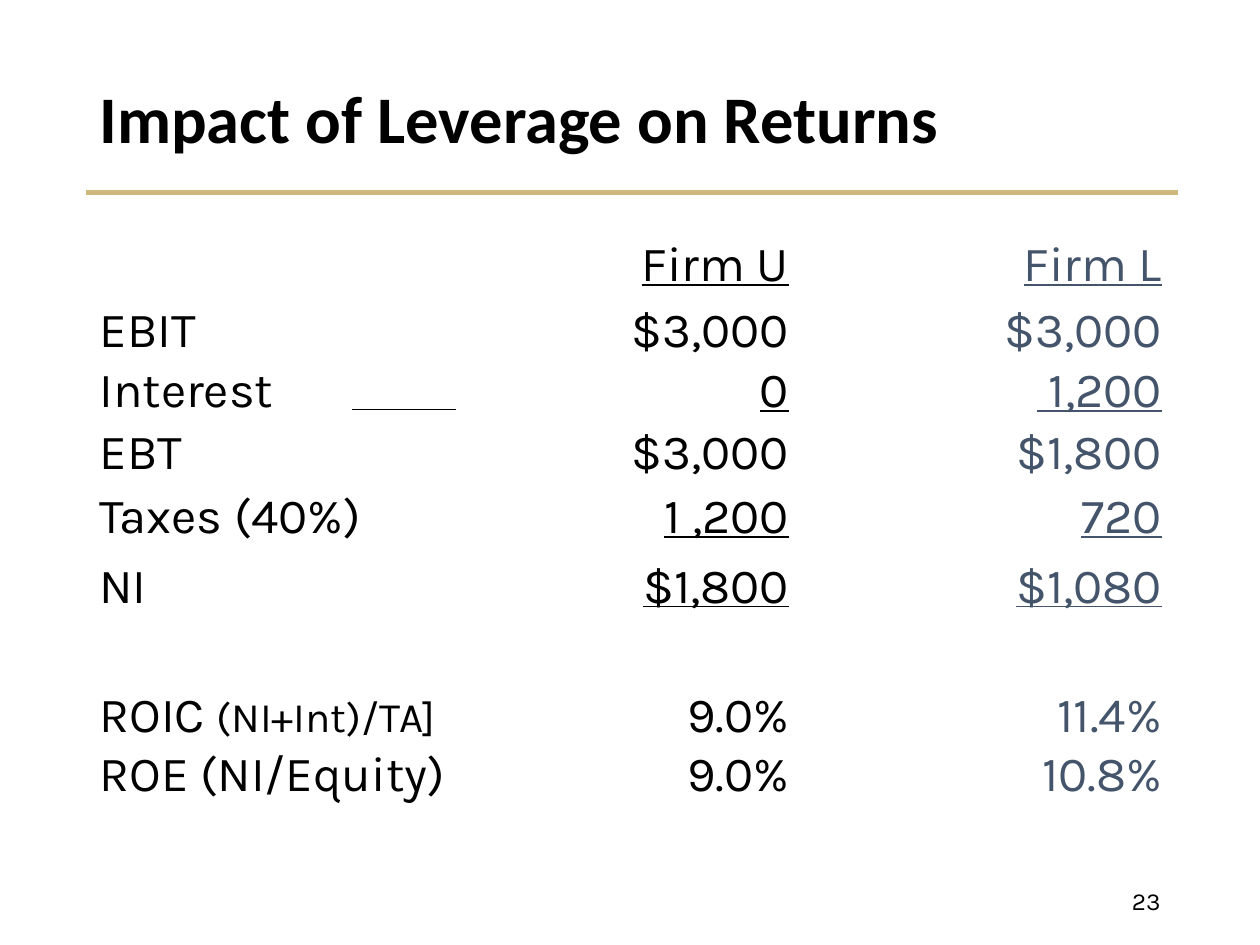
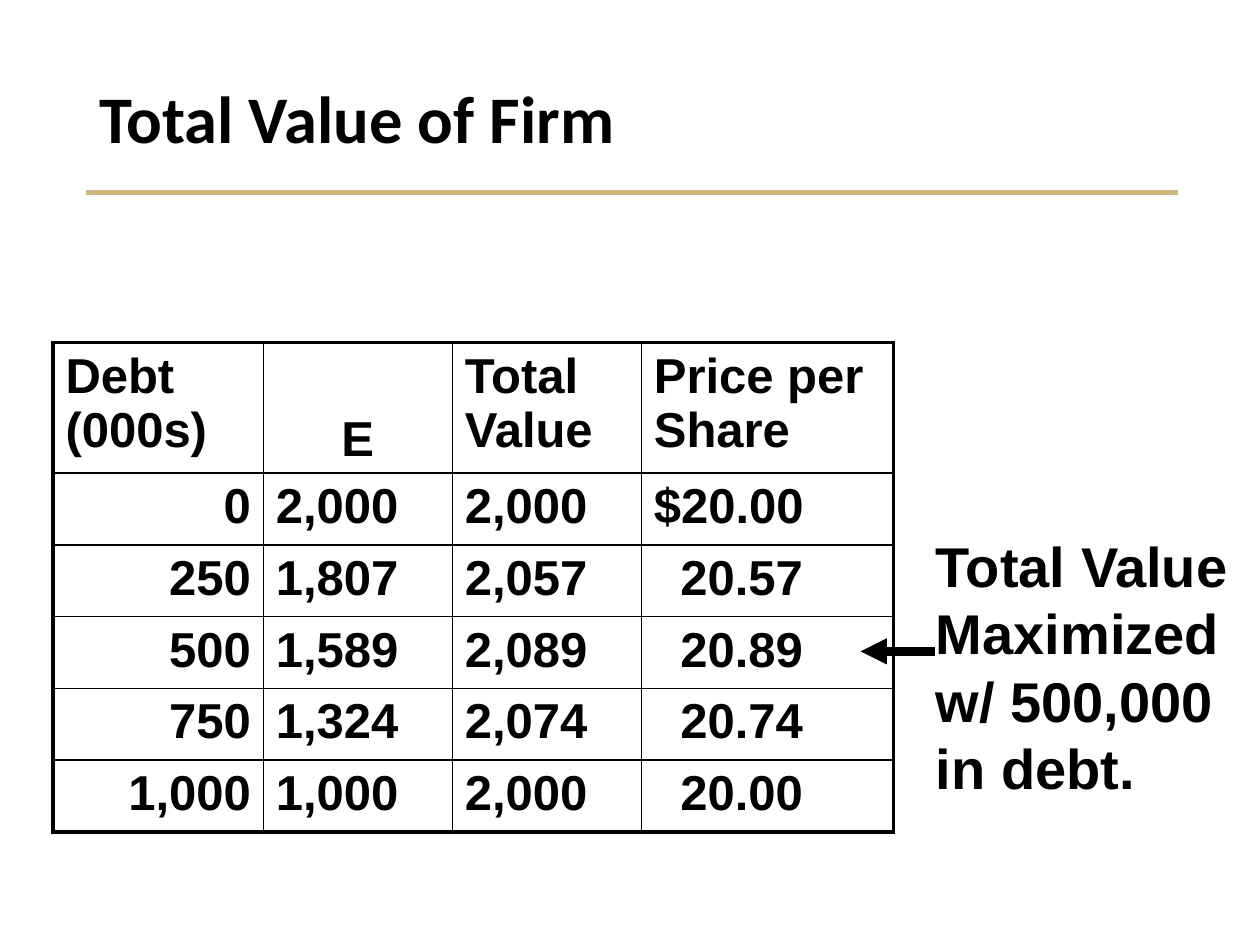
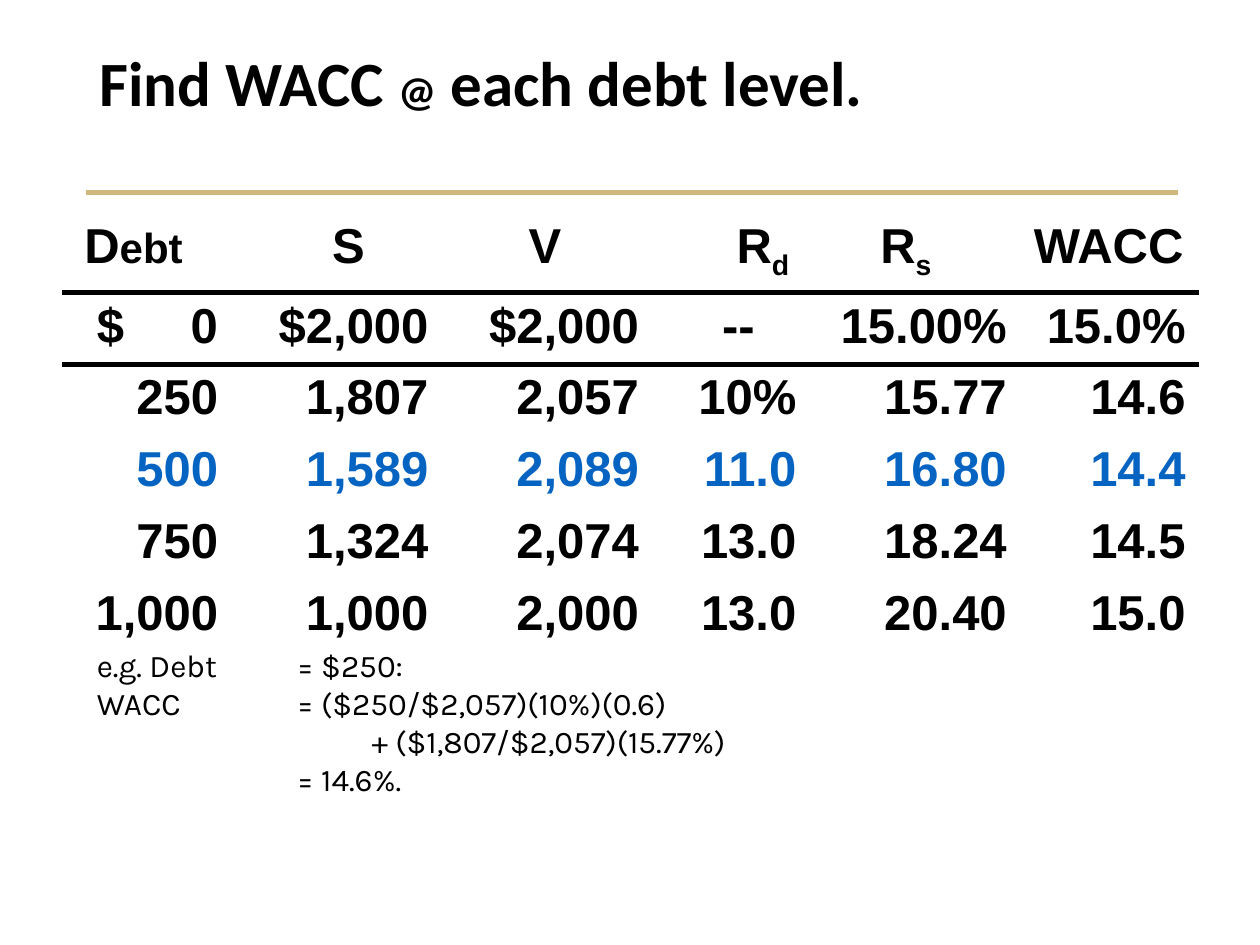
from collections import namedtuple

from lxml import etree
from pptx import Presentation
from pptx.dml.color import RGBColor
from pptx.enum.shapes import MSO_CONNECTOR
from pptx.enum.text import MSO_ANCHOR as Anchor, PP_ALIGN as Align
from pptx.oxml.ns import qn
from pptx.util import Inches, Pt

COLOURS = {"ink": "000000", "gold": "CFB87C", "slate": "44546A", "best": "0563C1"}

Box = namedtuple("Box", "left top width height")
Style = namedtuple("Style", "font size bold colour underline", defaults=(False, "ink", False))

TITLE_BOX = Box(0.69, 0.4, 8.62, 1.13)
TITLE = Style("Calibri", 38, True)
KARLA = Style("Karla", 28)
ARIAL = Style("Arial", 28, True)


def rgb(name):
    """Return the named colour."""
    return RGBColor.from_string(COLOURS[name])


def write(paragraph, parts, style, align=Align.LEFT, tabs=()):
    """Write parts, each a string or a (text, size, baseline) tuple, into a paragraph."""
    paragraph.alignment = align
    if tabs:
        tab_list = etree.SubElement(paragraph._p.get_or_add_pPr(), qn("a:tabLst"))
        for position, kind in tabs:
            etree.SubElement(tab_list, qn("a:tab"), pos=str(Inches(position)), algn=kind)
    for part in [parts] if isinstance(parts, str) else parts:
        text, size, baseline = (part, style.size, 0) if isinstance(part, str) else part
        run = paragraph.add_run()
        run.text = text
        font = run.font
        font.name, font.size, font.bold = style.font, Pt(size), style.bold
        font.underline = style.underline
        font.color.rgb = rgb(style.colour)
        if baseline:
            font._element.set("baseline", str(baseline * 1000))


def add_text(slide, box, lines, style, anchor=Anchor.TOP, spacing=None, **layout):
    """Add a wrapped text box with one paragraph for each line."""
    frame = slide.shapes.add_textbox(*map(Inches, box)).text_frame
    frame.word_wrap = True
    frame.vertical_anchor = anchor
    for index, line in enumerate(lines):
        paragraph = frame.add_paragraph() if index else frame.paragraphs[0]
        if spacing:
            paragraph.line_spacing = spacing
        write(paragraph, line, style, **layout)


def add_line(slide, start, end, colour, weight, arrow=False):
    """Draw a straight line, with an arrowhead at its end if wanted."""
    points = map(Inches, (*start, *end))
    line = slide.shapes.add_connector(MSO_CONNECTOR.STRAIGHT, *points)
    line.line.color.rgb = rgb(colour)
    line.line.width = Pt(weight)
    if arrow:
        etree.SubElement(line.line._get_or_add_ln(), qn("a:tailEnd"), type="triangle")
    etree.SubElement(line._element.spPr, qn("a:effectLst"))


def add_header(slide, title, style=TITLE, box=TITLE_BOX):
    """Add the slide title and the gold rule below it."""
    add_line(slide, (0.68, 1.53), (9.35, 1.53), "gold", 3)
    add_text(slide, box, [title], style, Anchor.MIDDLE, 0.9)


def add_grid(slide, box, widths, heights):
    """Add a plain table with the given column widths and row heights."""
    grid = slide.shapes.add_table(len(heights), len(widths), *map(Inches, box)).table
    grid.first_row = grid.horz_banding = False
    for column, width in zip(grid.columns, widths):
        column.width = Inches(width)
    for row, height in zip(grid.rows, heights):
        row.height = Inches(height)
    for cell in grid.iter_cells():
        cell.fill.background()
    return grid


def fill_cell(cell, parts, style, align, left=0.1, right=0.1, inset=0.05, tabs=()):
    """Write one cell with its insets."""
    cell.margin_left, cell.margin_right = Inches(left), Inches(right)
    cell.margin_top = cell.margin_bottom = Inches(inset)
    write(cell.text_frame.paragraphs[0], parts, style, align, tabs)


def set_borders(cell, **weights):
    """Set cell borders by side: L, R, T, B in points."""
    properties = cell._tc.get_or_add_tcPr()
    sides = [side for side in "LRTB" if side in weights]
    for index, side in enumerate(sides):
        border = etree.Element(qn(f"a:ln{side}"), w=str(Pt(weights[side])))
        fill = etree.SubElement(border, qn("a:solidFill"))
        etree.SubElement(fill, qn("a:srgbClr"), val=COLOURS["ink"])
        properties.insert(index, border)


def add_returns(slide, box):
    """Add the income comparison of the two firms."""
    heights = [0.57, 0.48, 0.49, 0.51, 0.55, 0.56, 0.47, 0.47, 0.51]
    returns = [
        ("", "Firm U", "Firm L"),
        ("EBIT", "$3,000", "$3,000"),
        ("Interest", "0", " 1,200"),
        ("EBT", "$3,000", "$1,800"),
        ("Taxes (40%)", "1 ,200", "720"),
        ("NI", "$1,800", "$1,080"),
        ("", "", ""),
        (["ROIC ", ("(NI+Int)/TA]", 24, 0)], "9.0%", "11.4%"),
        ("ROE (NI/Equity)", "9.0%", "10.8%"),
    ]
    underlined = {0, 2, 4, 5}
    grid = add_grid(slide, box, [3.59, 2.08, 2.96], heights)
    for row, entries in enumerate(returns):
        for column, entry in enumerate(entries):
            if entry:
                style = KARLA._replace(colour="slate" if column == 2 else "ink",
                                       underline=column > 0 and row in underlined)
                fill_cell(grid.cell(row, column), entry, style,
                          Align.RIGHT if column else Align.LEFT, inset=0 if row else 0.05)
    rule_y = box.top + 1.42
    add_line(slide, (box.left + 2.1, rule_y), (box.left + 2.93, rule_y), "ink", 1)


def add_firm_values(slide, box):
    """Add the bordered table of debt, equity, value and price."""
    values = [
        ("Debt (000s)", "E", "Total Value", "Price per Share"),
        ("0", "2,000", "2,000", "$20.00"),
        ("250", "1,807", "2,057", "20.57"),
        ("500", "1,589", "2,089", "20.89"),
        ("750", "1,324", "2,074", "20.74"),
        ("1,000", "1,000", "2,000", "20.00"),
    ]
    thick, thin = 2.25, 1
    last_row, last_column = len(values) - 1, len(values[0]) - 1
    grid = add_grid(slide, box, [1.67, 1.5, 1.5, 2], [1.03] + [0.57] * last_row)
    for row, entries in enumerate(values):
        for column, entry in enumerate(entries):
            cell = grid.cell(row, column)
            align = Align.RIGHT if row and column == 0 else Align.LEFT
            if entry == "E":
                align, cell.vertical_anchor = Align.CENTER, Anchor.BOTTOM
            under_dollar = column == last_column and row > 1
            fill_cell(cell, entry, ARIAL, align, left=0.31 if under_dollar else 0.1)
            set_borders(cell, L=thin if column else thick, T=thin if row else thick,
                        R=thick if column == last_column else thin,
                        B=thick if row == last_row else thin)


def add_wacc_table(slide, box):
    """Add the table of capital costs at each debt level."""
    headings = [
        ([("D", 28, 0), ("ebt", 24, 0)], 0.1, 0.31),
        ("S", 0.3, 0.1),
        ("V", 0.1, 0.12),
        (["R", ("d", 28, -25)], 0.62, 0.1),
        (["R", ("s", 28, -25)], 0.1, 0.23),
        ("WACC", 0.1, 0.1),
    ]
    levels = [
        ("$\t0", "$2,000", "$2,000", "--", "15.00%", "15.0%"),
        ("250", "1,807", "2,057", "10%", "15.77", "14.6"),
        ("500", "1,589", "2,089", "11.0", "16.80", "14.4"),
        ("750", "1,324", "2,074", "13.0", "18.24", "14.5"),
        ("1,000", "1,000", "2,000", "13.0", "20.40", "15.0"),
    ]
    grid = add_grid(slide, box, [1.33, 1.67, 1.67, 1.25, 1.67, 1.42], [0.57] * 6)
    for column, (heading, left, right) in enumerate(headings):
        fill_cell(grid.cell(0, column), heading, ARIAL, Align.CENTER, left, right)
        set_borders(grid.cell(0, column), B=3)
        set_borders(grid.cell(1, column), T=3)
    for row, level in enumerate(levels, 1):
        style = ARIAL._replace(colour="best" if level[0] == "500" else "ink")
        for column, entry in enumerate(level):
            cell = grid.cell(row, column)
            if "\t" in entry:
                fill_cell(cell, entry, style, Align.LEFT, left=0.27, tabs=[(0.96, "r")])
            else:
                fill_cell(cell, entry, style, Align.RIGHT, right=0.43 if entry == "--" else 0.1)


def build_returns_slide(slide):
    """Build the slide on leverage and returns."""
    add_header(slide, "Impact of Leverage on Returns")
    add_returns(slide, Box(0.69, 1.83, 8.62, 4.59))
    add_text(slide, Box(7.06, 6.95, 2.25, 0.4), ["23"], KARLA._replace(size=14),
             Anchor.MIDDLE, align=Align.RIGHT)


def build_value_slide(slide):
    """Build the slide on the total value of the firm."""
    add_header(slide, "Total Value of Firm")
    add_firm_values(slide, Box(0.42, 2.72, 6.67, 3.87))
    add_line(slide, (7.42, 5.17), (6.83, 5.17), "ink", 5, arrow=True)
    add_text(slide, Box(7.33, 4.17, 2.67, 2.26),
             ["Total Value Maximized w/ 500,000 in debt."], ARIAL._replace(size=32))


def build_wacc_slide(slide):
    """Build the slide on the cost of capital at each debt level."""
    add_header(slide, ["Find WACC ", ("@", 24.3, 0), " each debt level."],
               TITLE._replace(size=36), TITLE_BOX._replace(height=0.57))
    add_wacc_table(slide, Box(0.5, 1.69, 9, 3.4))
    example = [
        "e.g. Debt\t= $250:",
        "WACC\t= ($250/$2,057)(10%)(0.6)",
        "\t\t+ ($1,807/$2,057)(15.77%)",
        "\t= 14.6%.",
    ]
    add_text(slide, Box(0.67, 5.08, 8.61, 1.28), example, KARLA._replace(size=18),
             tabs=[(1.59, "l"), (2.18, "l")])


def main():
    """Build and save the deck."""
    deck = Presentation()
    deck.slide_width, deck.slide_height = Inches(10), Inches(7.5)
    for build in (build_returns_slide, build_value_slide, build_wacc_slide):
        build(deck.slides.add_slide(deck.slide_layouts[6]))
    deck.save("out.pptx")


if __name__ == "__main__":
    main()
